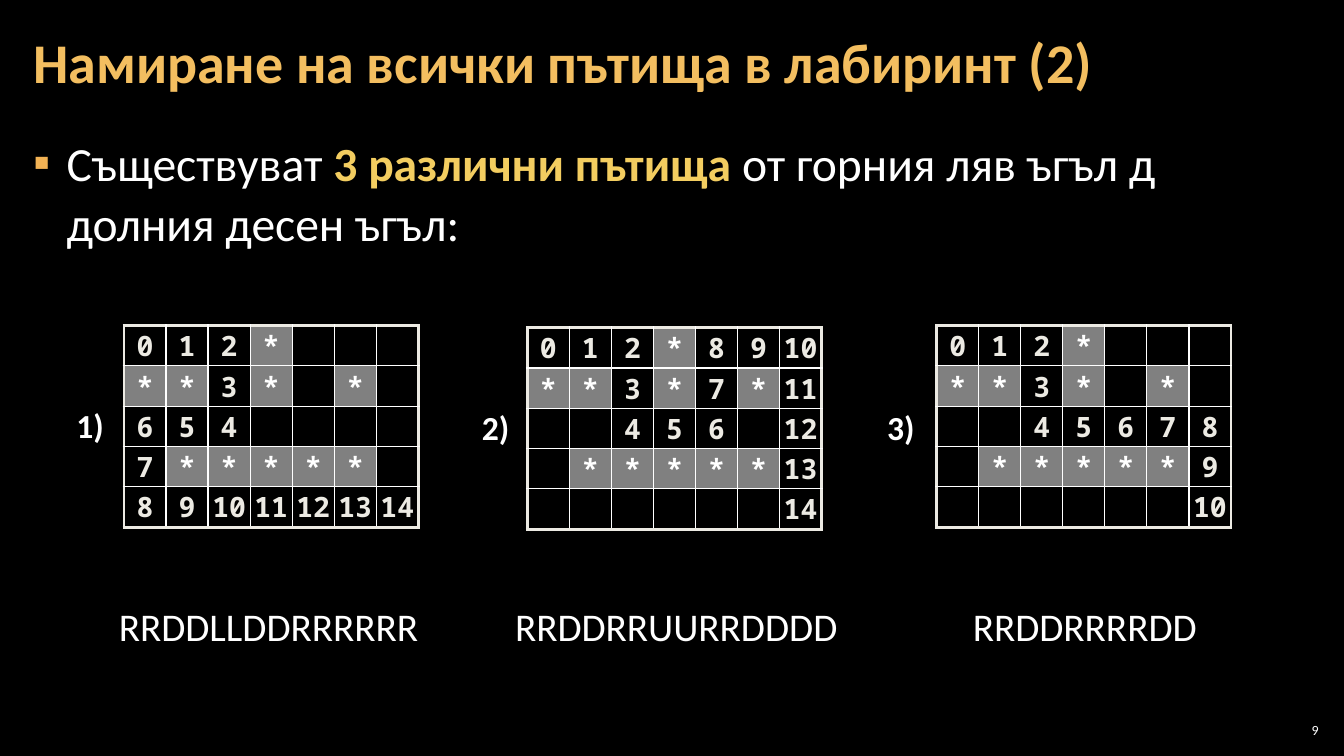
"""Build the slide that shows the three paths through a maze."""
from lxml import etree
from pptx import Presentation, util as u
from pptx.dml.color import RGBColor
from pptx.enum import text as t
from pptx.oxml import ns

PX = 9144
WHITE = RGBColor(0xFF, 0xFF, 0xFF)
BLACK = RGBColor(0x00, 0x00, 0x00)
GREY = RGBColor(0x80, 0x80, 0x80)
IVORY = RGBColor(0xEC, 0xEA, 0xE3)
GOLD = RGBColor(0xF3, 0xBE, 0x60)
YELLOW = RGBColor(0xF3, 0xCD, 0x60)
ORANGE = RGBColor(0xF2, 0xB2, 0x54)

TITLE = {"name": "Calibri", "size": u.Pt(40), "bold": True}
BODY = {"name": "Calibri", "size": u.Pt(34), "bold": False}
STRONG = {**BODY, "bold": True}
LABEL = {"name": "Calibri", "size": u.Pt(24), "bold": True}
MOVES = {"name": "Calibri", "size": u.Pt(28), "bold": False}
NUMBER = {"name": "Calibri", "size": u.Pt(10), "bold": False}
CELL = {"name": "Noto Sans Mono", "size": u.Pt(20), "bold": True}

MAZE = ["...*...", "**.*.*.", ".......", ".*****.", "......."]
STEPS = {"R": (0, 1), "L": (0, -1), "D": (1, 0), "U": (-1, 0)}
PATHS = [
    ("RRDDLLDDRRRRRR", (123, 323), (66, 397, 48, 52), (108, 593, 321, 57)),
    ("RRDDRRUURRDDDD", (523, 325), (468, 399, 48, 52), (501, 593, 344, 57)),
    ("RRDDRRRRDD", (929, 323), (870, 399, 48, 52), (955, 593, 245, 57)),
]


def scaled(*lengths):
    """Turn px lengths into EMU."""
    return [u.Emu(length * PX) for length in lengths]


def apply(target, values):
    """Set each attribute in the dict on the target."""
    for name, value in values.items():
        setattr(target, name, value)


def add_run(paragraph, words, style, color):
    """Append formatted words to a paragraph."""
    run = paragraph.add_run()
    run.text = words
    apply(run.font, style)
    run.font.color.rgb = color


def place(holder, box, anchor):
    """Move a placeholder, set its insets and return its first paragraph."""
    apply(holder, dict(zip(("left", "top", "width", "height"), scaled(*box))))
    side, edge = scaled(12, 4)
    apply(holder.text_frame, {
        "margin_left": side, "margin_right": side, "margin_top": edge, "margin_bottom": edge,
        "vertical_anchor": anchor, "word_wrap": True, "auto_size": t.MSO_AUTO_SIZE.NONE})
    return holder.text_frame.paragraphs[0]


def add_bullet(paragraph, mark, color, indent):
    """Give a paragraph a coloured bullet with a hanging indent."""
    properties = paragraph._p.get_or_add_pPr()
    properties.set("marL", str(indent * PX))
    properties.set("indent", str(-indent * PX))
    tint = etree.SubElement(properties, ns.qn("a:buClr"))
    etree.SubElement(tint, ns.qn("a:srgbClr"), val=str(color))
    etree.SubElement(properties, ns.qn("a:buFont"), typeface="Calibri")
    etree.SubElement(properties, ns.qn("a:buChar"), char=mark)


def add_label(slide, box, words, style):
    """Add one line of white text that does not wrap."""
    label = slide.shapes.add_textbox(*scaled(*box))
    apply(label.text_frame, {"word_wrap": False, "auto_size": t.MSO_AUTO_SIZE.SHAPE_TO_FIT_TEXT})
    add_run(label.text_frame.paragraphs[0], words, style, WHITE)


def add_slide_number(slide, box, words):
    """Add the slide number, right-aligned in its corner."""
    number = slide.shapes.add_textbox(*scaled(*box))
    inset = u.Emu(4 * PX)
    apply(number.text_frame, {
        "margin_left": inset, "margin_right": inset, "margin_top": inset, "margin_bottom": inset,
        "vertical_anchor": t.MSO_ANCHOR.MIDDLE, "word_wrap": True})
    paragraph = number.text_frame.paragraphs[0]
    paragraph.alignment = t.PP_ALIGN.RIGHT
    add_run(paragraph, words, NUMBER, WHITE)


def add_borders(cell, outer_sides):
    """Draw thick ivory lines on the outer sides and thin white lines elsewhere."""
    properties = cell._tc.get_or_add_tcPr()
    for side in "LRTB":
        color, width = (IVORY, u.Pt(2.25)) if side in outer_sides else (WHITE, u.Pt(1))
        line = etree.SubElement(properties, ns.qn(f"a:ln{side}"), w=str(width))
        fill = etree.SubElement(line, ns.qn("a:solidFill"))
        etree.SubElement(fill, ns.qn("a:srgbClr"), val=str(color))


def trace(moves):
    """Number the cells visited by the moves, from the top left corner."""
    row = column = 0
    visited = {(0, 0): "0"}
    for count, move in enumerate(moves, 1):
        down, right = STEPS[move]
        row, column = row + down, column + right
        visited[row, column] = str(count)
    return visited


def add_maze(slide, corner, moves):
    """Add the maze as a table with the path numbered in it."""
    rows, columns = len(MAZE), len(MAZE[0])
    maze = slide.shapes.add_table(rows, columns, *scaled(*corner, 292, 200)).table
    apply(maze, {"first_row": False, "horz_banding": False})
    side = u.Emu(4 * PX)
    visited = trace(moves)
    for row, line in enumerate(MAZE):
        for column, mark in enumerate(line):
            wall = mark == "*"
            cell = maze.cell(row, column)
            apply(cell, {"margin_left": side, "margin_right": side, "margin_top": 0,
                         "margin_bottom": 0, "vertical_anchor": t.MSO_ANCHOR.MIDDLE})
            edges = {"L": column == 0, "R": column == columns - 1,
                     "T": row == 0, "B": row == rows - 1}
            add_borders(cell, [edge for edge, outer in edges.items() if outer])
            if wall:
                cell.fill.solid()
                cell.fill.fore_color.rgb = GREY
            else:
                cell.fill.background()
            words = mark if wall else visited.get((row, column))
            if words:
                paragraph = cell.text_frame.paragraphs[0]
                apply(paragraph, {"alignment": t.PP_ALIGN.CENTER, "space_before": u.Pt(6)})
                add_run(paragraph, words, CELL, WHITE if wall else IVORY)


def main():
    """Build and save the slide."""
    deck = Presentation()
    deck.slide_width, deck.slide_height = scaled(1333, 750)
    slide = deck.slides.add_slide(deck.slide_layouts[1])
    slide.background.fill.solid()
    slide.background.fill.fore_color.rgb = BLACK

    heading = place(slide.shapes.title, (21, 4, 1291, 121), t.MSO_ANCHOR.MIDDLE)
    apply(heading, {"alignment": t.PP_ALIGN.LEFT, "line_spacing": 0.9})
    add_run(heading, "Намиране на всички пътища в лабиринт (2)", TITLE, GOLD)

    statement = place(slide.placeholders[1], (21, 126, 1291, 609), t.MSO_ANCHOR.TOP)
    apply(statement, {"line_spacing": 1.05, "space_before": u.Pt(6), "space_after": u.Pt(6)})
    add_bullet(statement, "▪", ORANGE, 33)
    add_run(statement, "Съществуват ", BODY, WHITE)
    add_run(statement, "3 различни пътища ", STRONG, YELLOW)
    add_run(statement, "от горния ляв ъгъл д долния десен ъгъл:", BODY, WHITE)

    for order, (moves, corner, order_box, moves_box) in enumerate(PATHS, 1):
        add_maze(slide, corner, moves)
        add_label(slide, order_box, f"{order})", LABEL)
        add_label(slide, moves_box, moves, MOVES)
    add_slide_number(slide, (1265, 714, 47, 21), "9")
    deck.save("out.pptx")


if __name__ == "__main__":
    main()
